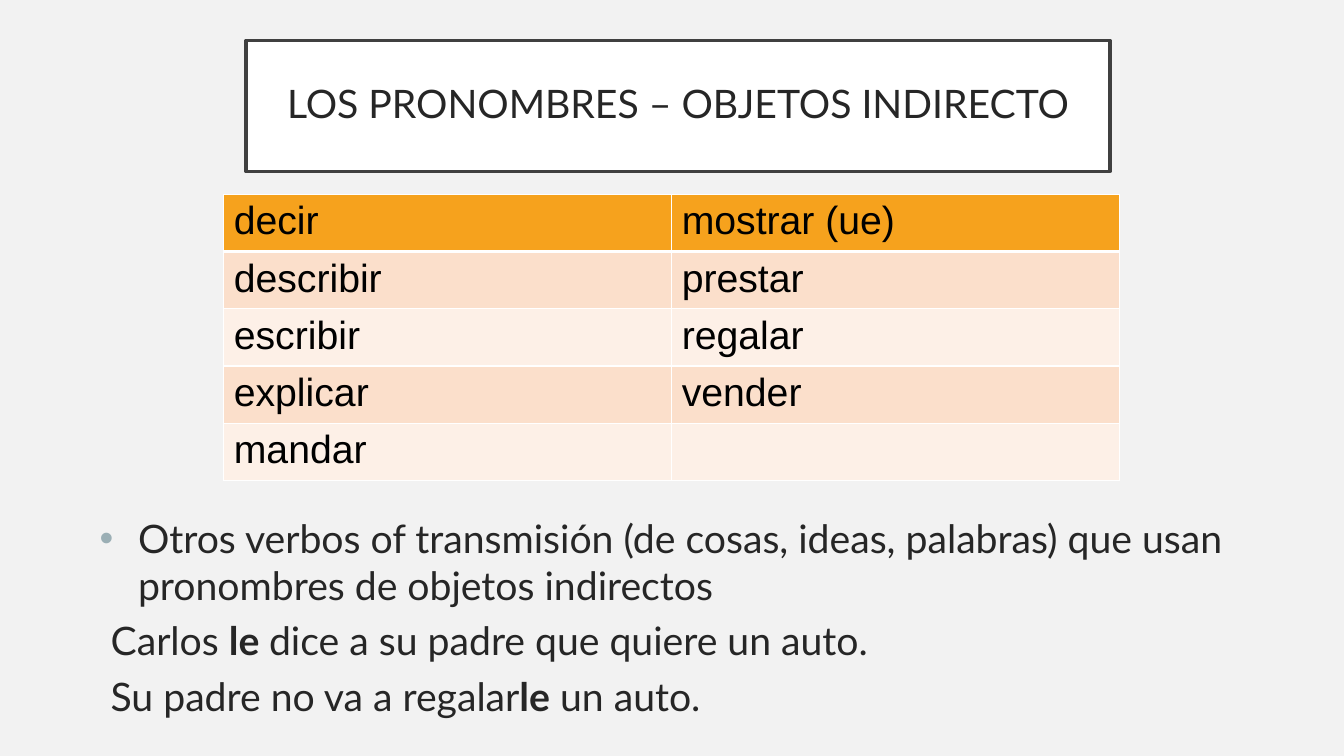
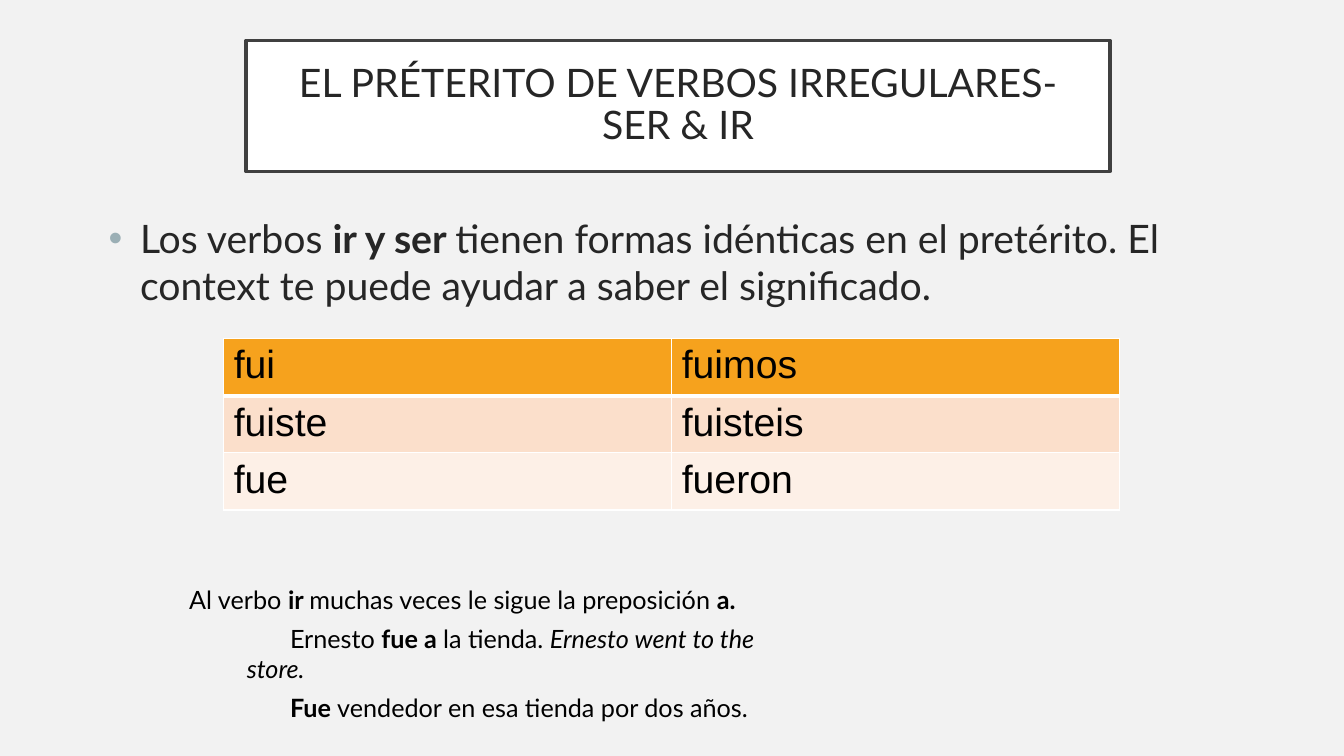
from pptx import Presentation
from pptx.dml.color import RGBColor
from pptx.enum.text import MSO_ANCHOR as Anchor, MSO_AUTO_SIZE as AutoSize, PP_ALIGN as Align
from pptx.oxml.ns import qn
from pptx.util import Cm, Pt
from lxml.etree import SubElement

# Shared look
BACKGROUND, WHITE, BLACK = "F2F2F2", "FFFFFF", "000000"
INK, FRAME, BULLET = "262626", "404040", "9BAFB5"
HEADER, BANDS = "F6A21D", ("FBDFCB", "FDF0E7")
TEXT_FONT, TABLE_FONT = "Lato", "Arial"
TABLE_LEFT, COLUMN_WIDTH, ROW_HEIGHT = 5.64, 11.29, 1.36


def rgb(value):
    return RGBColor.from_string(value)


def write(paragraph, text, *, size=28, font=TEXT_FONT, color=INK, style=""):
    """Add one run; style holds b for bold and i for italic."""
    run = paragraph.add_run()
    run.text = text
    run.font.size, run.font.name = Pt(size), font
    run.font.color.rgb = rgb(color)
    run.font.bold, run.font.italic = "b" in style, "i" in style


def set_indent(paragraph, left, first, bullet=False):
    props = paragraph._p.get_or_add_pPr()
    props.set("marL", str(Cm(left)))
    props.set("indent", str(Cm(first)))
    if bullet:
        bullet_color = SubElement(props, qn("a:buClr"))
        SubElement(bullet_color, qn("a:srgbClr")).set("val", BULLET)
        SubElement(props, qn("a:buFont")).set("typeface", "Arial")
        SubElement(props, qn("a:buChar")).set("char", "•")


def add_title_slide(prs, heading):
    slide = prs.slides.add_slide(prs.slide_layouts[5])
    title = slide.shapes.title
    title.left, title.top, title.width, title.height = Cm(6.2), Cm(1.02), Cm(21.77), Cm(3.3)
    title.fill.solid()
    title.fill.fore_color.rgb = rgb(WHITE)
    title.line.color.rgb = rgb(FRAME)
    title.line.width = Pt(2.5)
    frame = title.text_frame
    frame.auto_size, frame.word_wrap = AutoSize.NONE, True
    frame.vertical_anchor = Anchor.MIDDLE
    frame.margin_left = frame.margin_right = frame.margin_top = frame.margin_bottom = Cm(0.51)
    paragraph = frame.paragraphs[0]
    paragraph.alignment, paragraph.line_spacing = Align.CENTER, 0.9
    write(paragraph, heading)
    return slide


def add_text(slide, box, paragraphs, **text_format):
    """Each paragraph is (left indent, first-line indent, bullet, runs)."""
    frame = slide.shapes.add_textbox(*map(Cm, box)).text_frame
    frame.word_wrap = True
    for number, (left, first, bullet, runs) in enumerate(paragraphs):
        paragraph = frame.add_paragraph() if number else frame.paragraphs[0]
        set_indent(paragraph, left, first, bullet)
        if number:
            paragraph.space_before = Pt(6)
        for text, style in runs:
            write(paragraph, text, style=style, **text_format)


def set_borders(cell, row):
    props = cell._tc.get_or_add_tcPr()
    widths = {"lnL": 1, "lnR": 1, "lnT": 3 if row == 1 else 1, "lnB": 1 if row else 3}
    for side, width in widths.items():
        border = SubElement(props, qn("a:" + side))
        border.set("w", str(Pt(width)))
        fill = SubElement(border, qn("a:solidFill"))
        SubElement(fill, qn("a:srgbClr")).set("val", WHITE)


def add_verb_table(slide, top, verbs):
    columns = len(verbs[0])
    table = slide.shapes.add_table(
        len(verbs), columns, Cm(TABLE_LEFT), Cm(top),
        Cm(COLUMN_WIDTH * columns), Cm(ROW_HEIGHT * len(verbs))).table
    for column in table.columns:
        column.width = Cm(COLUMN_WIDTH)
    for row, forms in enumerate(verbs):
        table.rows[row].height = Cm(ROW_HEIGHT)
        for column, verb in enumerate(forms):
            cell = table.cell(row, column)
            set_borders(cell, row)
            cell.fill.solid()
            cell.fill.fore_color.rgb = rgb(BANDS[(row - 1) % 2] if row else HEADER)
            if verb:
                write(cell.text_frame.paragraphs[0], verb, font=TABLE_FONT, color=BLACK)


def add_indirect_objects(prs):
    slide = add_title_slide(prs, "LOS PRONOMBRES – OBJETOS INDIRECTO")
    add_text(slide, (2.26, 12.83, 29.97, 8.61), [
        (0.97, -0.97, True, [("Otros verbos of transmisión (de cosas, ideas, palabras) "
                              "que usan pronombres de objetos indirectos", "")]),
        (0.28, 0, False, [("Carlos ", ""), ("le ", "b"),
                          ("dice a su padre que quiere un auto.", "")]),
        (0.28, 0, False, [("Su padre no va a regalar", ""), ("le", "b"), (" un auto.", "")]),
    ])
    add_verb_table(slide, 4.9, [
        ("decir", "mostrar (ue)"),
        ("describir", "prestar"),
        ("escribir", "regalar"),
        ("explicar", "vender"),
        ("mandar", ""),
    ])


def add_ser_and_ir(prs):
    slide = add_title_slide(prs, "EL PRÉTERITO DE VERBOS IRREGULARES- SER & IR")
    add_text(slide, (2.49, 5.28, 29.74, 3.3), [
        (0.79, -0.79, True, [("Los verbos ", ""), ("ir y ser ", "b"),
                             ("tienen formas idénticas en el pretérito. El context "
                              "te puede ayudar a saber el significado.", "")]),
    ])
    add_verb_table(slide, 8.53, [
        ("fui", "fuimos"),
        ("fuiste", "fuisteis"),
        ("fue", "fueron"),
    ])
    # Examples with the preposition
    add_text(slide, (4.52, 14.61, 15.88, 3), [
        (0.79, -0.79, False, [("Al verbo ", ""), ("ir ", "b"),
                              ("muchas veces le sigue la preposición ", ""), ("a.", "b")]),
        (1.45, 1.09, False, [("Ernesto ", ""), ("fue a ", "b"), ("la tienda. ", ""),
                             ("Ernesto went to the store.", "i")]),
        (1.27, 1.27, False, [("Fue ", "b"), ("vendedor en esa tienda por dos años.", "")]),
    ], size=18, color=BLACK)


def main():
    prs = Presentation()
    prs.slide_width, prs.slide_height = Cm(33.87), Cm(19.05)
    backdrop = prs.slide_master.background.fill
    backdrop.solid()
    backdrop.fore_color.rgb = rgb(BACKGROUND)
    add_indirect_objects(prs)
    add_ser_and_ir(prs)
    prs.save("out.pptx")


main()
